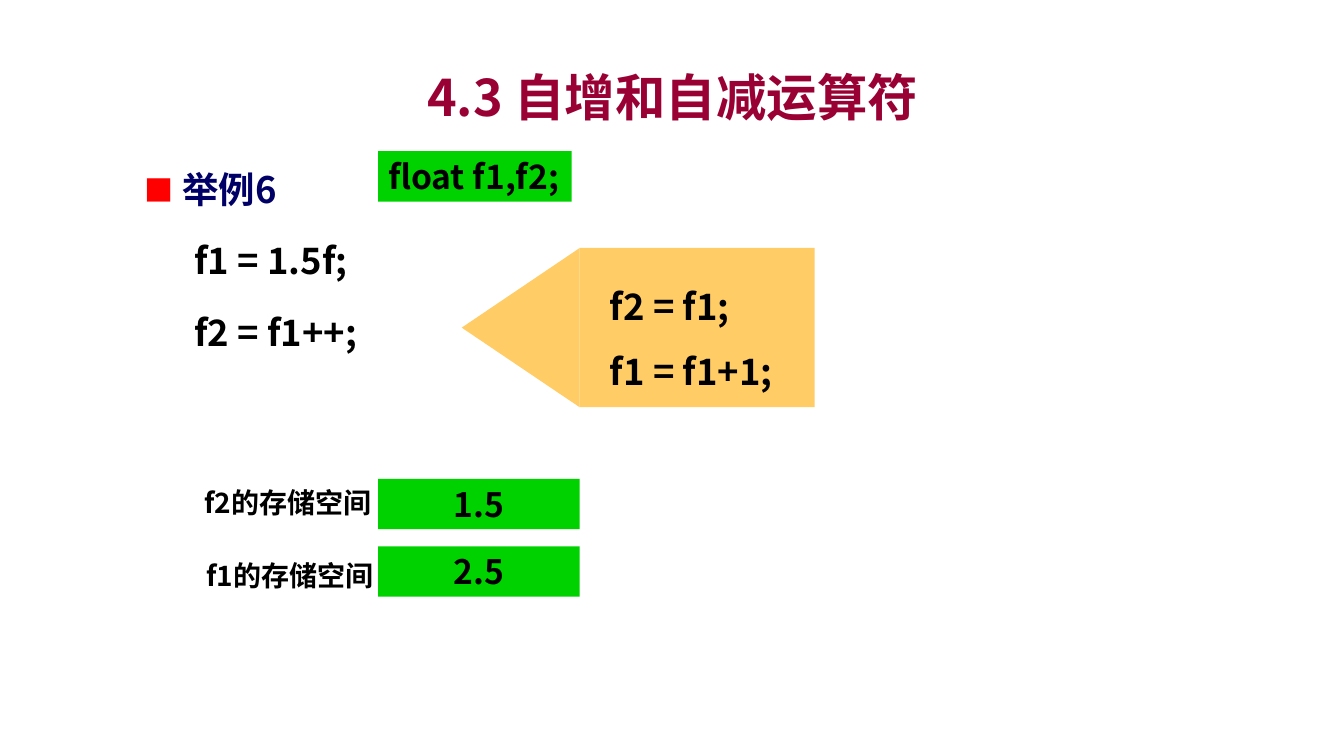
from lxml import etree
from pptx import Presentation
from pptx.dml.color import RGBColor
from pptx.enum.shapes import MSO_SHAPE
from pptx.enum.text import MSO_ANCHOR, MSO_AUTO_SIZE, PP_ALIGN
from pptx.oxml.ns import qn
from pptx.util import Inches, Pt

RECTANGLE, TRIANGLE = MSO_SHAPE.RECTANGLE, MSO_SHAPE.ISOSCELES_TRIANGLE
LEFT, CENTER = PP_ALIGN.LEFT, PP_ALIGN.CENTER
TOP, MIDDLE = MSO_ANCHOR.TOP, MSO_ANCHOR.MIDDLE
NO_AUTOFIT = MSO_AUTO_SIZE.NONE
FONT = "Noto Sans CJK SC"
BLACK, NAVY, CRIMSON, RED = "000000", "000066", "990033", "FF0000"
GREEN, AMBER = "00D200", "FFCC66"


def colour(hex_code):
    """Turn a hex string into a colour."""
    return RGBColor.from_string(hex_code)


def write(paragraph, text, size, hex_code=BLACK, align=LEFT):
    """Add one bold run to a paragraph."""
    paragraph.alignment = align
    run = paragraph.add_run()
    run.text = text
    run.font.size = Pt(size)
    run.font.bold = True
    run.font.name = FONT
    run.font.color.rgb = colour(hex_code)
    etree.SubElement(run.font._element, qn("a:ea"), typeface=FONT)


def prepare(frame, anchor=MIDDLE, wrap=True):
    """Set the anchor and wrapping of a text frame."""
    frame.auto_size = NO_AUTOFIT
    frame.vertical_anchor = anchor
    frame.word_wrap = wrap
    frame.margin_left = frame.margin_right = Inches(0.1)
    frame.margin_top = frame.margin_bottom = Inches(0.05)
    return frame


def indent(paragraph, margin, first_line):
    """Set the left margin and first-line indent of a paragraph."""
    properties = paragraph._p.get_or_add_pPr()
    properties.set("marL", str(Inches(margin)))
    properties.set("indent", str(Inches(first_line)))
    return properties


def add_bullet(properties):
    """Give a paragraph a small red square bullet."""
    bullet_colour = etree.SubElement(properties, qn("a:buClr"))
    etree.SubElement(bullet_colour, qn("a:srgbClr"), val=RED)
    etree.SubElement(properties, qn("a:buSzPct"), val="80000")
    etree.SubElement(properties, qn("a:buFont"), typeface=FONT)
    etree.SubElement(properties, qn("a:buChar"), char="■")


def add_block(slide, kind, left, top, width, height, fill):
    """Add a flat, borderless shape."""
    block = slide.shapes.add_shape(
        kind, Inches(left), Inches(top), Inches(width), Inches(height))
    block.shadow.inherit = False
    block.fill.solid()
    block.fill.fore_color.rgb = colour(fill)
    block.line.fill.background()
    return block


def add_title(slide, left, top, width, height):
    """Place the slide title."""
    title = slide.shapes.title
    title.left, title.top = Inches(left), Inches(top)
    title.width, title.height = Inches(width), Inches(height)
    frame = prepare(title.text_frame)
    write(frame.paragraphs[0], "4.3 自增和自减运算符", 36, CRIMSON, CENTER)


def add_example(slide, left, top, width, height):
    """Write the example heading and its statements."""
    example = slide.shapes.add_textbox(
        Inches(left), Inches(top), Inches(width), Inches(height))
    frame = prepare(example.text_frame, TOP)
    heading = frame.paragraphs[0]
    add_bullet(indent(heading, 0.38, -0.38))
    write(heading, "举例6", 26, NAVY)
    for statement in ("f1 = 1.5f;", "f2 = f1++;"):
        line = frame.add_paragraph()
        line.level = 1
        indent(line, 0.81, -0.31)
        line.space_before = Pt(6)
        write(line, statement, 26)
    for line in frame.paragraphs:
        line.line_spacing = 1.25
        line.space_after = Pt(6)


def add_green_box(slide, left, top, width, text, align=CENTER):
    """Add a green box holding a value or a declaration."""
    box = add_block(slide, RECTANGLE, left, top, width, 0.5, GREEN)
    write(prepare(box.text_frame, wrap=False).paragraphs[0], text, 24, align=align)


def add_storage(slide, left, top, name, value, label_shift):
    """Show a variable's storage label and its value box."""
    label = slide.shapes.add_textbox(
        Inches(left + label_shift[0]), Inches(top + label_shift[1]),
        Inches(1.75), Inches(0.58))
    frame = prepare(label.text_frame, wrap=False)
    write(frame.paragraphs[0], f"{name}的存储空间", 20, align=CENTER)
    add_green_box(slide, left + 1.75, top, 2, value)


def add_callout(slide, left, top, width, height):
    """Explain the increment in a box with a pointer on its left."""
    depth = 1.17
    pointer = add_block(slide, TRIANGLE, left - (height + depth) / 2,
                        top + (height - depth) / 2, height, depth, AMBER)
    pointer.rotation = 270
    box = add_block(slide, RECTANGLE, left, top, width, height, AMBER)
    frame = prepare(box.text_frame)
    for number, step in enumerate(("f2 = f1;", "f1 = f1+1;")):
        line = frame.add_paragraph() if number else frame.paragraphs[0]
        line.level = 1
        indent(line, 0.2, 0)
        line.line_spacing = 1.5
        write(line, step, 26)


def main():
    """Build and save the slide."""
    deck = Presentation()
    deck.slide_width, deck.slide_height = Inches(13.33), Inches(7.5)
    slide = deck.slides.add_slide(deck.slide_layouts[5])
    add_title(slide, 2.42, 0.58, 8.5, 0.75)
    add_example(slide, 1.33, 1.5, 8.42, 2.75)
    add_green_box(slide, 3.75, 1.5, 1.92, "float f1,f2;", LEFT)
    add_callout(slide, 5.75, 2.46, 2.33, 1.58)
    add_storage(slide, 2, 4.75, "f2", "1.5", (-0.02, -0.06))
    add_storage(slide, 2, 5.42, "f1", "2.5", (0, 0))
    deck.save("out.pptx")


if __name__ == "__main__":
    main()
